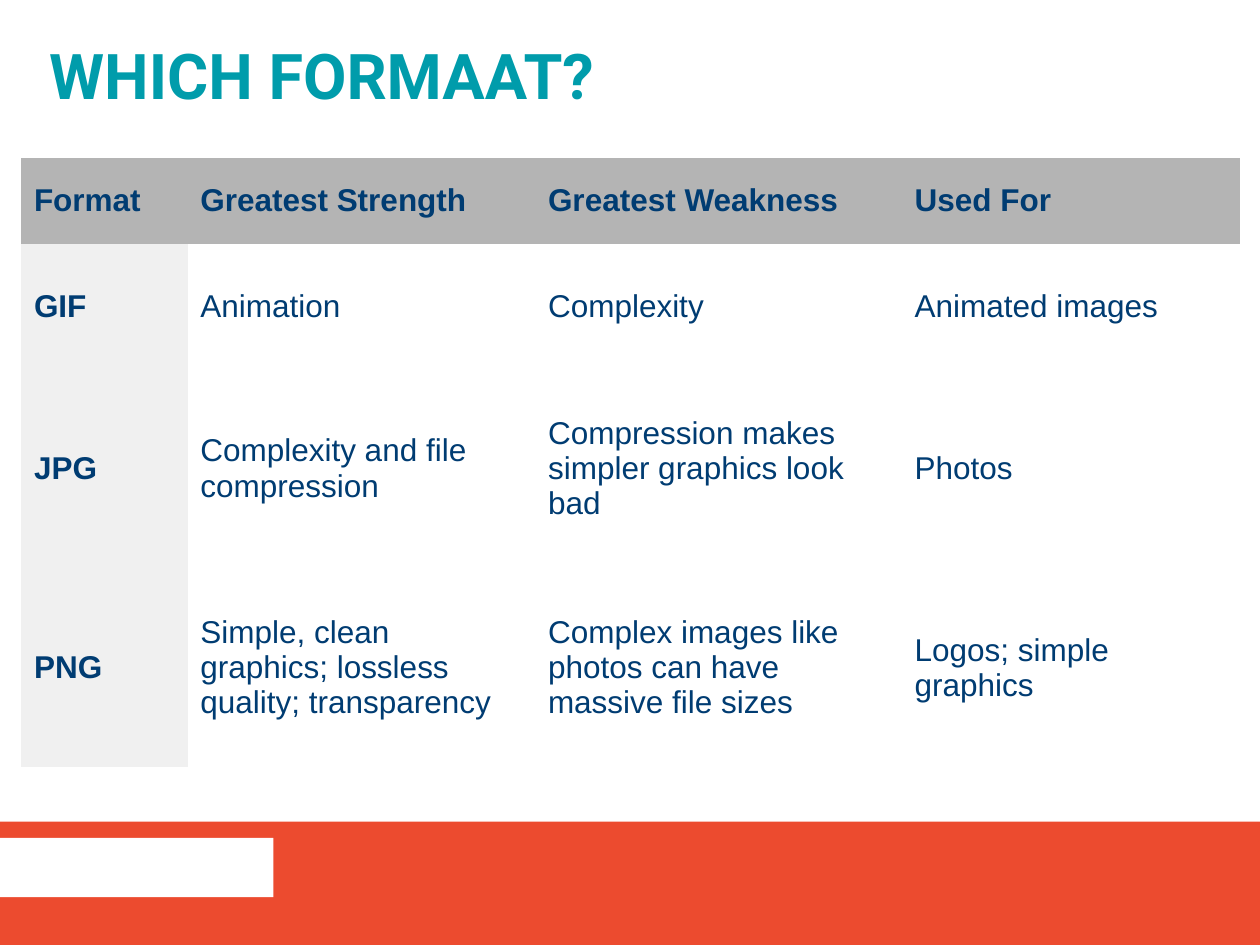
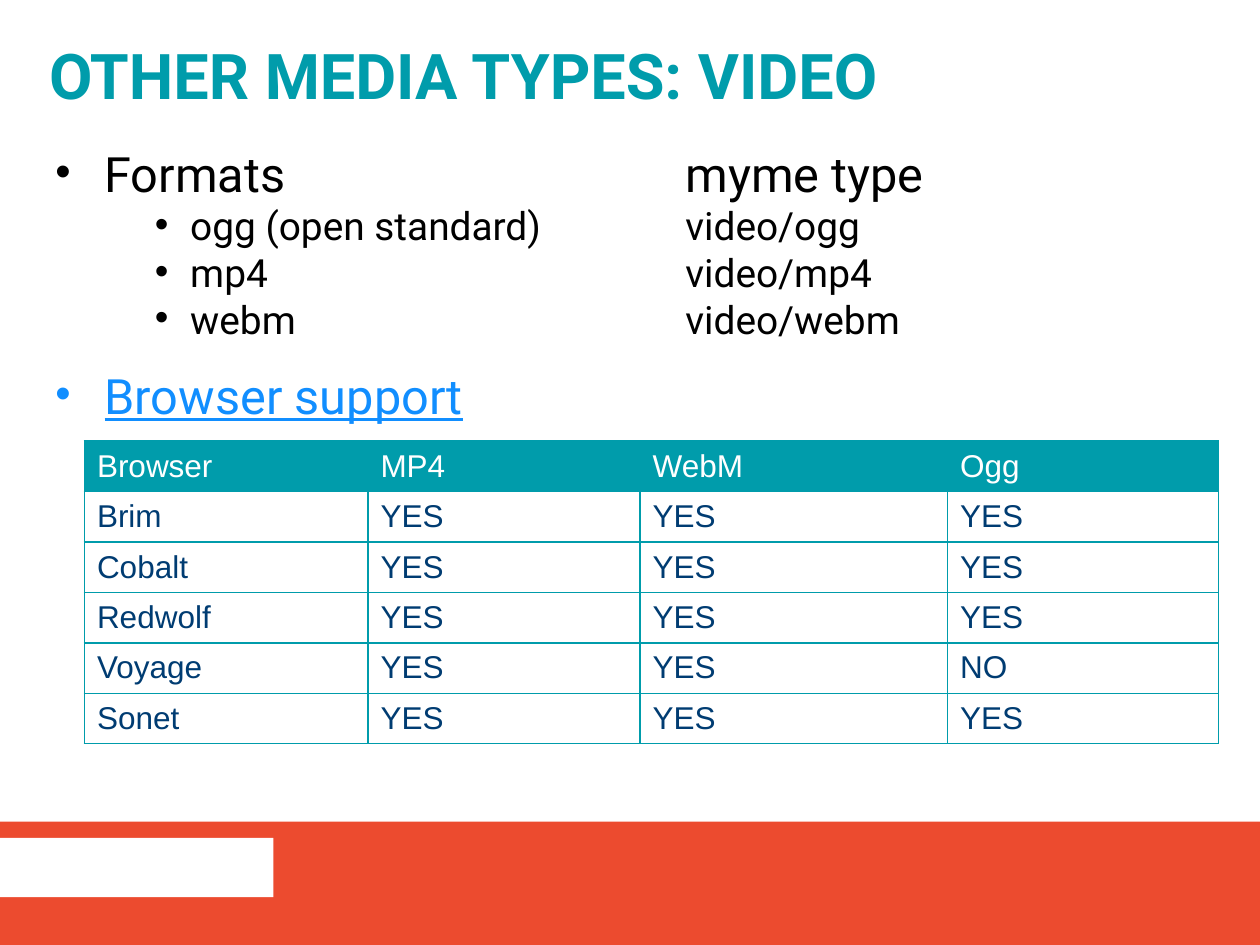
import pptx
import pptx.util
import pptx.dml.color
import pptx.enum.shapes
import pptx.enum.text
import pptx.oxml
from dataclasses import dataclass
from lxml import etree

Pt = pptx.util.Pt
MID = pptx.enum.text.MSO_ANCHOR.MIDDLE
UNIT = pptx.util.Inches(0.1)
COLS, ROWS = 100, 75
NS = "http://schemas.openxmlformats.org/drawingml/2006/main"
PLAIN = "{2D5ABB26-0587-4C30-8999-92F81FD0307C}"


@dataclass(frozen=True)
class Theme:
    teal: str = "009CAB"
    red: str = "EC4B2F"
    navy: str = "003C72"
    grey: str = "B4B4B4"
    pale: str = "F0F0F0"
    white: str = "FFFFFF"
    black: str = "000000"
    link: str = "118EFF"
    sans: str = "Roboto"
    grid: str = "Arial"
    head: float = 36
    main: float = 27.8
    sub: float = 22.2
    cell: float = 18


T = Theme()


def span(*box):
    return [round(n * UNIT) for n in box]


def rgb(code):
    return pptx.dml.color.RGBColor.from_string(code)


def put(item, form):
    for name, value in form.items():
        setattr(item, name, value)


def style(font, color, **form):
    put(font, form)
    font.color.rgb = rgb(color)


def node(tag, **attrs):
    item = pptx.oxml.parse_xml(f'<a:{tag} xmlns:a="{NS}"/>')
    for name, value in attrs.items():
        item.set(name, str(value))
    return item


def add_text(slide, box, pads, **form):
    frame = slide.shapes.add_textbox(*span(*box)).text_frame
    sides = ("margin_left", "margin_top", "margin_right", "margin_bottom")
    put(frame, {"word_wrap": True, **dict(zip(sides, span(*pads))), **form})
    return frame


def add_band(slide, box):
    left, top, width, height = box
    tab = (left, top + 1.3, width * 0.217, 4.7)
    for area, color in ((box, T.red), (tab, T.white)):
        kind = pptx.enum.shapes.MSO_SHAPE.RECTANGLE
        bar = slide.shapes.add_shape(kind, *span(*area))
        bar.shadow.inherit = False
        bar.fill.solid()
        bar.fill.fore_color.rgb = rgb(color)
        bar.line.fill.background()


def add_title(slide, box, text):
    frame = add_text(slide, box, (3.9, 2, 3.9, 1.6), vertical_anchor=MID)
    para = frame.paragraphs[0]
    para.line_spacing = 0.8
    run = para.add_run()
    run.text = text
    style(run.font, T.teal, name=T.sans, size=Pt(T.head), bold=True)


def add_list(slide, box, items, stop):
    frame = add_text(slide, box, (4.4, 2.8, 4.7, 0))
    for at, (level, text, form) in enumerate(items):
        para = frame.add_paragraph() if at else frame.paragraphs[0]
        gap = form.get("gap", 4)
        put(para, {"level": level, "line_spacing": 0.7,
                   "space_before": Pt(gap), "space_after": Pt(4)})
        run = para.add_run()
        run.text = text
        size = T.sub if level else T.main
        style(run.font, form.get("color", T.black), name=T.sans,
              size=Pt(size), underline=form.get("line", False))
        left, hang = span(10.7, 2.8) if level else span(3.9, 3.9)
        props = para._p.get_or_add_pPr()
        props.set("marL", str(left))
        props.set("indent", str(-hang))
        if not level:
            props.append(node("buSzPct", val=90000))
        props.append(node("buFont", typeface="Arial"))
        props.append(node("buChar", char="•"))
        tabs = node("tabLst")
        tabs.append(node("tab", pos=span(stop)[0], algn="l"))
        props.append(tabs)


def add_edges(cell, color):
    props = cell._tc.get_or_add_tcPr()
    for at, tag in enumerate(("lnL", "lnR", "lnT", "lnB")):
        edge = node(tag, w=Pt(1))
        fill = node("solidFill")
        fill.append(node("srgbClr", val=color))
        edge.append(fill)
        props.insert(at, edge)


def add_grid(slide, spot, cols, rows, data, look, edge=None):
    box = (*spot, sum(cols), sum(rows))
    table = slide.shapes.add_table(len(rows), len(cols), *span(*box)).table
    props = table._tbl.tblPr
    props.find(f"{{{NS}}}tableStyleId").text = PLAIN
    put(table, {"first_row": False, "horz_banding": False})
    for col, width in zip(table.columns, span(*cols)):
        col.width = width
    for row, height in zip(table.rows, span(*rows)):
        row.height = height
    for y, line in enumerate(data):
        for x, text in enumerate(line):
            cell = table.cell(y, x)
            fill, color, bold = look(y, x)
            cell.vertical_anchor = MID
            run = cell.text_frame.paragraphs[0].add_run()
            run.text = text
            style(run.font, color, name=T.grid, size=Pt(T.cell), bold=bold)
            if fill:
                cell.fill.solid()
                cell.fill.fore_color.rgb = rgb(fill)
            else:
                cell.fill.background()
            if edge:
                add_edges(cell, edge)


def image_look(y, x):
    fill = T.grey if y == 0 else T.pale if x == 0 else None
    return fill, T.navy, y == 0 or x == 0


def video_look(y, x):
    return (T.white, T.navy, False) if y else (T.teal, T.white, False)


def add_base(deck, title):
    slide = deck.slides.add_slide(deck.slide_layouts[6])
    add_band(slide, (0, 65.2, COLS, 9.8))
    add_title(slide, (0, 0, COLS, 12.5), title)
    return slide


def image_slide(deck):
    slide = add_base(deck, "WHICH FORMAAT?")
    data = (
        ("Format", "Greatest Strength", "Greatest Weakness", "Used For"),
        ("GIF", "Animation", "Complexity", "Animated images"),
        ("JPG", "Complexity and file compression",
         "Compression makes simpler graphics look bad", "Photos"),
        ("PNG", "Simple, clean graphics; lossless quality; transparency",
         "Complex images like photos can have massive file sizes",
         "Logos; simple graphics"),
    )
    add_grid(slide, (1.7, 12.5), (13.2, 27.6, 29.1, 26.8),
             (6.9, 9.9, 15.8, 15.8), data, image_look)


def video_slide(deck):
    slide = add_base(deck, "OTHER MEDIA TYPES: VIDEO")
    items = (
        (0, "Formats\tmyme type", {}),
        (1, "ogg (open standard)\tvideo/ogg", {}),
        (1, "mp4\tvideo/mp4", {}),
        (1, "webm\tvideo/webm", {}),
        (0, "Browser support", {"color": T.link, "line": True, "gap": 19.5}),
    )
    add_list(slide, (0, 9.9, COLS, 25.2), items, 50)
    names = ("Brim", "Cobalt", "Redwolf", "Voyage", "Sonet")
    data = [("Browser", "MP4", "WebM", "Ogg")]
    for name in names:
        ogg = "NO" if name == "Voyage" else "YES"
        data.append((name, "YES", "YES", ogg))
    add_grid(slide, (6.7, 35), (22.5, 21.6, 24.4, 21.5),
             [3.8] * len(data), data, video_look, T.teal)


def main():
    deck = pptx.Presentation()
    put(deck, {"slide_width": COLS * UNIT, "slide_height": ROWS * UNIT})
    image_slide(deck)
    video_slide(deck)
    deck.save("out.pptx")


if __name__ == "__main__":
    main()
